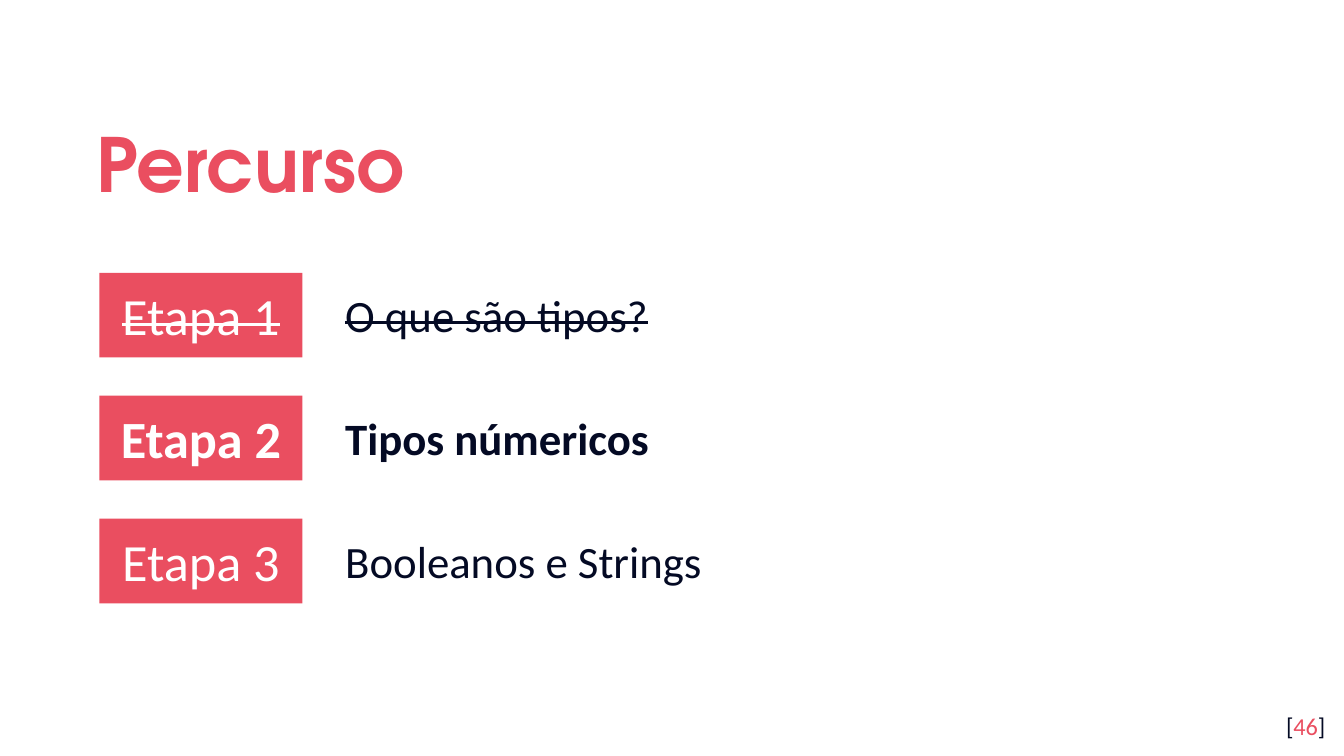
"""Build the "Percurso" slide with its three course steps."""
from pptx import Presentation
from pptx import util as u
from pptx.dml.color import RGBColor
from pptx.enum import shapes, text

RED, NAVY, WHITE = "EA4E60", "040A24", "FFFFFF"
TITLE = "Percurso"
STEPS = [
    ("Etapa 1", "O que são tipos?", {"strike": True}),
    ("Etapa 2", "Tipos númericos", {"bold": True}),
    ("Etapa 3", "Booleanos e Strings", {}),
]
PAGE = [("[", NAVY), ("46", RED), ("]", NAVY)]
TOP, BOTTOM = 2.03, 3.86
PITCH = (BOTTOM - TOP) / (len(STEPS) - 1)


def rgb(value):
    return RGBColor.from_string(value)


def write(s, runs, size, font="Calibri", bold=False, strike=False, pad=0.1,
          anchor=text.MSO_ANCHOR.TOP, align=text.PP_ALIGN.LEFT,
          level=0, hang=0, spacing=1.0):
    tf = s.text_frame
    frame = {"word_wrap": True, "vertical_anchor": anchor,
             "margin_left": u.Inches(0.1), "margin_right": u.Inches(0.1),
             "margin_top": u.Inches(pad), "margin_bottom": u.Inches(pad)}
    for key, value in frame.items():
        setattr(tf, key, value)
    p = tf.paragraphs[0]
    for key, value in {"alignment": align, "level": level, "line_spacing": spacing}.items():
        setattr(p, key, value)
    pPr = p._p.get_or_add_pPr()
    pPr.set("marL", str(u.Inches(hang)))
    pPr.set("indent", str(u.Inches(-hang)))
    for words, color in runs:
        r = p.add_run()
        r.text = words
        for key, value in {"name": font, "size": u.Pt(size), "bold": bold}.items():
            setattr(r.font, key, value)
        r.font.color.rgb = rgb(color)
        if strike:
            r._r.get_or_add_rPr().set("strike", "sngStrike")


def add_text(slide, box, runs, size, **style):
    write(slide.shapes.add_textbox(*map(u.Inches, box)), runs, size, **style)


def add_label(slide, box, runs, size, **style):
    s = slide.shapes.add_shape(shapes.MSO_SHAPE.RECTANGLE, *map(u.Inches, box))
    s.shadow.inherit = False
    s.fill.solid()
    s.fill.fore_color.rgb = rgb(RED)
    s.line.fill.background()
    write(s, runs, size, anchor=text.MSO_ANCHOR.MIDDLE,
          align=text.PP_ALIGN.CENTER, level=1, **style)


def main():
    prs = Presentation()
    prs.slide_width = u.Inches(10)
    prs.slide_height = prs.slide_width * 9 // 16
    slide = prs.slides.add_slide(prs.slide_layouts[6])
    add_text(slide, (0.62, 0.7, 8.1, 0.92), [(TITLE, RED)], 40, bold=True,
             font="TeX Gyre Adventor", anchor=text.MSO_ANCHOR.MIDDLE, spacing=1.15)
    for i, (label, topic, style) in enumerate(STEPS):
        y = TOP + i * PITCH
        add_label(slide, (0.74, y, 1.51, 0.63), [(label, WHITE)], 28, **style)
        add_text(slide, (2.47, y + 0.06, 6.75, 0.5), [(topic, NAVY)], 24,
                 pad=0.05, hang=0.5, **style)
    add_text(slide, (9.36, 5.19, 0.6, 0.43), PAGE, 13, align=text.PP_ALIGN.RIGHT)
    prs.save("out.pptx")


if __name__ == "__main__":
    main()
